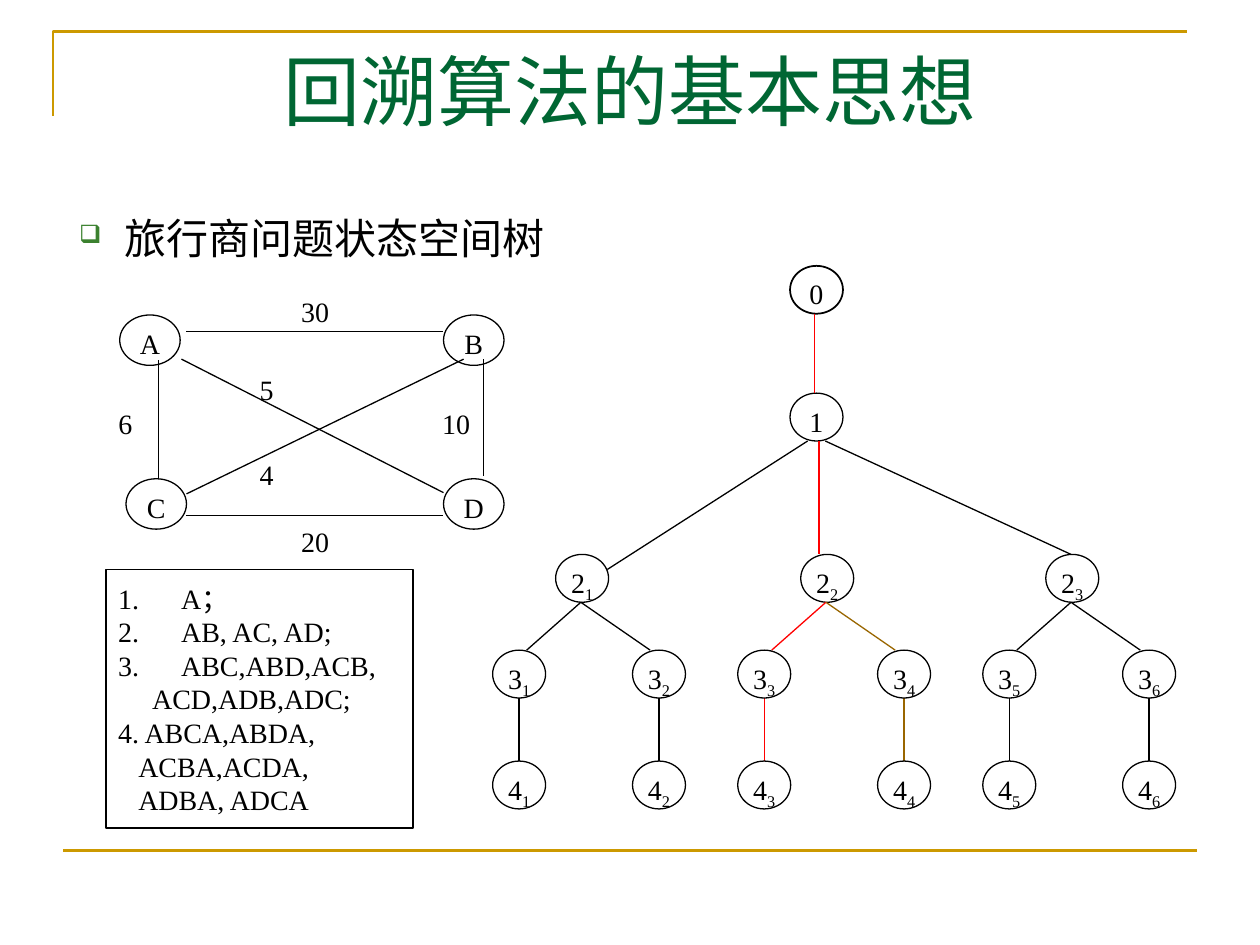
"""Build the slide on backtracking: a city graph, its tour list and its state space tree."""
from dataclasses import dataclass

from lxml.etree import SubElement
from pptx import Presentation
from pptx.dml.color import RGBColor
from pptx.enum.shapes import MSO_CONNECTOR as Link, MSO_SHAPE as Preset
from pptx.enum.text import MSO_ANCHOR as Anchor, PP_ALIGN as Align
from pptx.oxml.ns import qn
from pptx.util import Inches, Pt

COLUMNS, ROWS, CELL = 100, 75, 0.1
BLACK, RED, BROWN, GOLD = "000000", "FF0000", "996600", "CC9900"
SERIF = "Times New Roman"
TREE_SIZE, CITY_SIZE = (4.2, 3.8), (4.8, 4)


@dataclass(frozen=True)
class Node:
    left: float
    top: float
    size: tuple[float, float]
    label: str
    index: str = ""
    weight: float = 0.75


@dataclass(frozen=True)
class Edge:
    start: tuple[float, float]
    end: tuple[float, float]
    color: str = BLACK
    weight: float = 0.75


@dataclass(frozen=True)
class Caption:
    left: float
    top: float
    text: str


@dataclass(frozen=True)
class Step:
    text: str
    margin: float = 0
    numbered: bool = False


def cells(count: float) -> int:
    return Inches(count * CELL)


def rgb(code: str) -> RGBColor:
    return RGBColor.from_string(code)


def outline(shape, color: str, weight: float) -> None:
    shape.shadow.inherit = False
    shape.fill.background()
    shape.line.color.rgb = rgb(color)
    shape.line.width = Pt(weight)


def style(para, size: float, font: str = SERIF, color: str = BLACK, align=Align.LEFT) -> None:
    para.alignment = align
    for span in para.runs:
        span.font.size = Pt(size)
        span.font.name = font
        span.font.color.rgb = rgb(color)


def set_insets(frame, side: float = 0, end: float = 0) -> None:
    frame.margin_left = frame.margin_right = cells(side)
    frame.margin_top = frame.margin_bottom = cells(end)


def set_indent(para, margin: float, first: float):
    props = para._p.get_or_add_pPr()
    props.set("marL", str(cells(margin)))
    props.set("indent", str(cells(first)))
    return props


def add_text(page, left: float, top: float, width: float, height: float, text: str):
    box = page.shapes.add_textbox(*map(cells, (left, top, width, height)))
    box.text_frame.word_wrap = True
    box.text_frame.text = text
    return box.text_frame


def add_node(page, node: Node) -> None:
    oval = page.shapes.add_shape(Preset.OVAL, *map(cells, (node.left, node.top, *node.size)))
    outline(oval, BLACK, node.weight)
    frame = oval.text_frame
    set_insets(frame)
    frame.vertical_anchor = Anchor.TOP
    frame.text = node.label
    para = frame.paragraphs[0]
    para.line_spacing = 1.12
    if node.index:
        para.add_run().text = node.index
    style(para, 16, align=Align.CENTER)
    for span in para.runs[1:]:
        span.font._element.set("baseline", "-25000")


def add_edge(page, edge: Edge) -> None:
    line = page.shapes.add_connector(Link.STRAIGHT, *map(cells, (*edge.start, *edge.end)))
    line.line.color.rgb = rgb(edge.color)
    line.line.width = Pt(edge.weight)
    SubElement(line._element.spPr, qn("a:effectLst"))


def add_caption(page, caption: Caption) -> None:
    frame = add_text(page, caption.left, caption.top, 2.8, 2.2, caption.text)
    set_insets(frame)
    style(frame.paragraphs[0], 16)


def add_frame(page) -> None:
    pen = page.shapes.build_freeform(cells(4.2), cells(9.2))
    pen.add_line_segments([(cells(4.2), cells(2.5)), (cells(94.2), cells(2.5))], close=False)
    outline(pen.convert_to_shape(), GOLD, 1.5)
    add_edge(page, Edge((5, 67.5), (95, 67.5), GOLD, 1.5))


def add_headings(page) -> None:
    title = add_text(page, 5, 3, 90, 12.5, "回溯算法的基本思想")
    style(title.paragraphs[0], 44, "TeX Gyre Pagella", "006633", Align.CENTER)
    para = add_text(page, 1.6, 16.4, 90, 5, "旅行商问题状态空间树").paragraphs[0]
    style(para, 24, "Arial")
    props = set_indent(para, 7.3, -3.6)
    SubElement(SubElement(props, qn("a:buClr")), qn("a:srgbClr"), val="3B812F")
    SubElement(props, qn("a:buSzPct"), val="60000")
    SubElement(props, qn("a:buChar"), char="❑")


def add_graph(page) -> None:
    for left, top, label in ((9.5, 25, "A"), (10, 38, "C"), (35.2, 38, "D"), (35.2, 25, "B")):
        add_node(page, Node(left, top, CITY_SIZE, label))
    for start, end in (
        ((14.8, 26.3), (35.2, 26.3)), ((12.6, 28.6), (12.6, 37.9)),
        ((38.4, 28.5), (38.4, 37.8)), ((14.8, 40.9), (35.2, 40.9)),
        ((14.8, 39.2), (36.8, 28.5)), ((14.4, 28.5), (35.2, 39.1)),
    ):
        add_edge(page, Edge(start, end))
    for caption in (
        Caption(20.6, 36.3, "4"), Caption(20.6, 29.6, "5"), Caption(23.9, 41.6, "20"),
        Caption(35.1, 32.3, "10"), Caption(9.4, 32.3, "6"), Caption(23.9, 23.4, "30"),
    ):
        add_caption(page, caption)


def add_tree(page) -> None:
    width, height = TREE_SIZE
    root, first, branch, child, leaf = 21.1, 31.2, 44, 51.6, 60.4
    add_node(page, Node(62.7, root, TREE_SIZE, "0", weight=1))
    add_node(page, Node(62.7, first, TREE_SIZE, "1"))
    fork = first + height
    for edge in (
        Edge((64.65, root + height), (64.65, first), RED),
        Edge((64.1, fork), (48.2, 45.2)),
        Edge((65, fork), (65, branch), RED),
        Edge((65.5, fork), (85, branch)),
    ):
        add_edge(page, edge)
    for place, colors in enumerate(((BLACK, BLACK), (RED, BROWN), (BLACK, BLACK))):
        left = 44.1 + 19.45 * place
        add_node(page, Node(left, branch, TREE_SIZE, "2", str(place + 1)))
        for side, (shift, joint) in enumerate(((-5, 2.7), (6.1, 1.4))):
            x, index = left + shift, str(2 * place + side + 1)
            add_edge(page, Edge((left + 2, branch + height), (x + joint, child), colors[side]))
            add_edge(page, Edge((x + width / 2, child + height), (x + width / 2, leaf), colors[side]))
            add_node(page, Node(x, child, TREE_SIZE, "3", index))
            add_node(page, Node(x, leaf, TREE_SIZE, "4", index))


def add_steps(page) -> None:
    steps = (
        Step("A；", 5, True), Step("AB, AC, AD;", 5, True), Step("ABC,ABD,ACB,", 5, True),
        Step("ACD,ADB,ADC;", 2.7), Step("4. ABCA,ABDA,"),
        Step("ACBA,ACDA,", 1.6), Step("ADBA, ADCA", 1.6),
    )
    box = page.shapes.add_shape(Preset.RECTANGLE, *map(cells, (8.4, 45.2, 24.4, 20.5)))
    outline(box, BLACK, 1)
    frame = box.text_frame
    set_insets(frame, 1, 0.5)
    frame.vertical_anchor = Anchor.MIDDLE
    frame.text = "\n".join(step.text for step in steps)
    for para, step in zip(frame.paragraphs, steps):
        style(para, 16)
        props = set_indent(para, step.margin, -5 if step.numbered else 0)
        if step.numbered:
            SubElement(props, qn("a:buAutoNum"), type="arabicPeriod")


deck = Presentation()
deck.slide_width, deck.slide_height = cells(COLUMNS), cells(ROWS)
slide = deck.slides.add_slide(deck.slide_layouts[6])
for draw in (add_frame, add_headings, add_graph, add_tree, add_steps):
    draw(slide)
deck.save("out.pptx")
